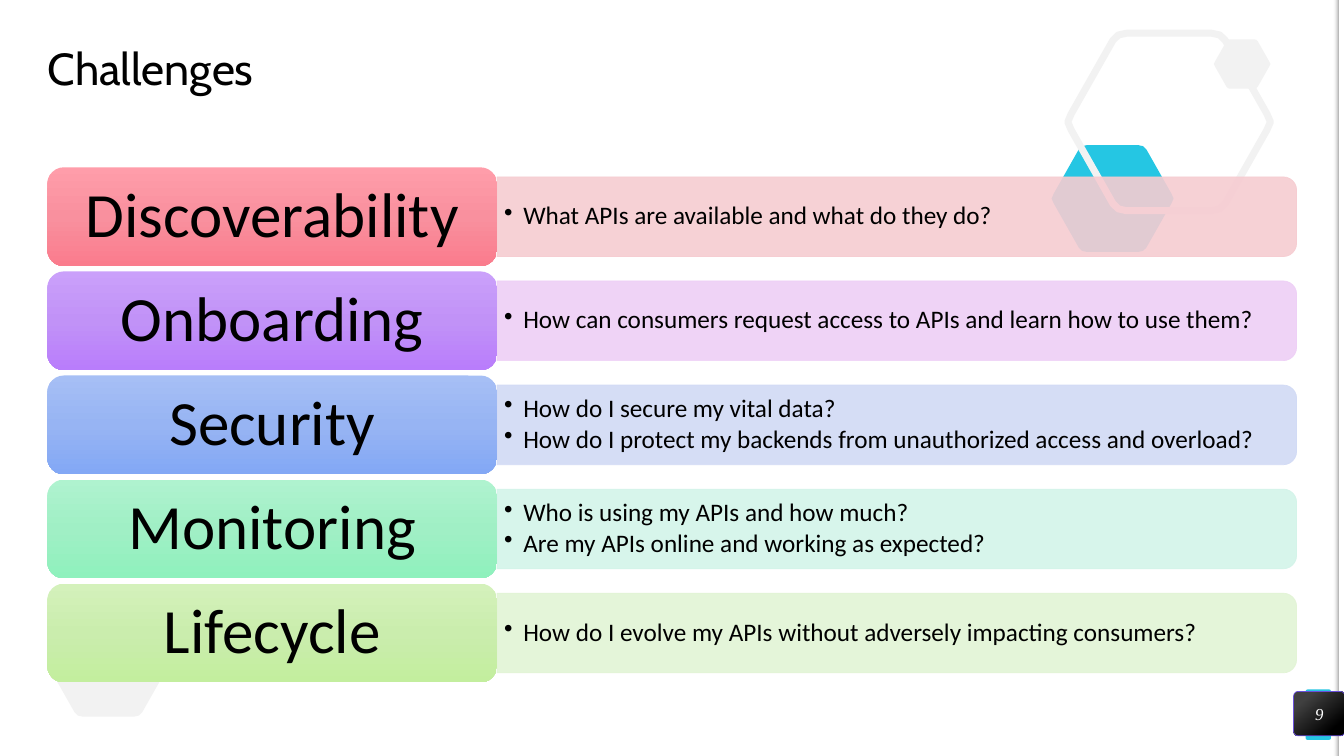
from lxml import etree
from pptx import Presentation
from pptx.dml.color import RGBColor
from pptx.enum.shapes import MSO_SHAPE
from pptx.enum.text import MSO_ANCHOR, MSO_AUTO_SIZE, PP_ALIGN
from pptx.oxml.ns import qn
from pptx.util import Inches, Pt

RECTANGLE = MSO_SHAPE.RECTANGLE
ROUNDED = MSO_SHAPE.ROUNDED_RECTANGLE
ROUNDED_TOP = MSO_SHAPE.ROUND_2_SAME_RECTANGLE
MIDDLE = MSO_ANCHOR.MIDDLE
NO_AUTOFIT = MSO_AUTO_SIZE.NONE
LEFT, CENTER = PP_ALIGN.LEFT, PP_ALIGN.CENTER

COLORS = {
    "white": "FFFFFF", "black": "000000", "cyan": "25C6E3",
    "pale": "F2F2F2", "gray": "A6A6A6", "charcoal": "404040", "violet": "6A50DB",
    "Discoverability": ("F6CCD1", "FF9DAA", "F9909E", "FA7C8D"),
    "Onboarding": ("EECFF6", "CAA0FA", "C192F7", "B97DFC"),
    "Security": ("D1DAF5", "A6BFF5", "97B4F3", "83A8F5"),
    "Monitoring": ("D3F4E9", "AFF3CF", "A0EFC5", "8FF1BD"),
    "Lifecycle": ("E2F4D5", "D4F1BB", "CAEDAD", "C3EE9E"),
}

CHALLENGES = {
    "Discoverability": ["What APIs are available and what do they do?"],
    "Onboarding": ["How can consumers request access to APIs and learn how to use them?"],
    "Security": ["How do I secure my vital data?",
                 "How do I protect my backends from unauthorized access and overload?"],
    "Monitoring": ["Who is using my APIs and how much?",
                   "Are my APIs online and working as expected?"],
    "Lifecycle": ["How do I evolve my APIs without adversely impacting consumers?"],
}


def paint(shape, fill=None, line=None, width=0.5):
    """Set the solid fill and the outline of a shape, and remove its shadow."""
    shape.shadow.inherit = False
    if fill:
        shape.fill.solid()
        shape.fill.fore_color.rgb = RGBColor.from_string(fill)
    else:
        shape.fill.background()
    if line:
        shape.line.color.rgb = RGBColor.from_string(line)
        shape.line.width = Pt(width)
    else:
        shape.line.fill.background()


def set_alpha(color_element, percent):
    """Give a colour element an opacity in percent."""
    etree.SubElement(color_element, qn("a:alpha")).set("val", str(percent * 1000))


def paint_gradient(shape, stops, angle):
    """Fill a shape with (percent, colour, opacity) stops along a clockwise angle."""
    shape.fill.gradient()
    shape.fill.gradient_angle = -angle % 360
    stop_list = shape._element.spPr.find(".//" + qn("a:gsLst"))
    for stop in list(stop_list):
        stop_list.remove(stop)
    for percent, color, opacity in stops:
        stop = etree.SubElement(stop_list, qn("a:gs"))
        stop.set("pos", str(percent * 1000))
        color_element = etree.SubElement(stop, qn("a:srgbClr"))
        color_element.set("val", color)
        if opacity < 100:
            set_alpha(color_element, opacity)


def add_box(slide, kind, left, top, width, height):
    """Add a preset shape measured in inches."""
    return slide.shapes.add_shape(
        kind, Inches(left), Inches(top), Inches(width), Inches(height))


def set_frame(frame, horizontal=0, vertical=0):
    """Set margins, wrapping and the middle anchor of a text frame."""
    frame.margin_left = frame.margin_right = Inches(horizontal)
    frame.margin_top = frame.margin_bottom = Inches(vertical)
    frame.word_wrap = True
    frame.auto_size = NO_AUTOFIT
    frame.vertical_anchor = MIDDLE


def style_paragraph(paragraph, name, size, color, align=LEFT):
    """Set alignment, line spacing and font of a paragraph."""
    paragraph.alignment = align
    paragraph.line_spacing = 0.9
    paragraph.font.name = name
    paragraph.font.size = Pt(size)
    paragraph.font.color.rgb = RGBColor.from_string(color)


def add_hexagon(slide, left, top, width, fill=None, line=None):
    """Draw a hexagon with rounded corners."""
    height = width * 0.876
    quarter = [(0, 0.5), (0.017, 0.455), (0.223, 0.04), (0.25, 0.01), (0.29, 0)]
    upper = quarter + [(1 - x, y) for x, y in reversed(quarter)]
    lower = [(x, 1 - y) for x, y in reversed(upper[1:-1])]
    points = [(Inches(left + x * width), Inches(top + y * height))
              for x, y in upper + lower]
    builder = slide.shapes.build_freeform(*points[0])
    builder.add_line_segments(points[1:], close=True)
    paint(builder.convert_to_shape(), fill, line, 5)


def add_backdrop(slide):
    """Draw the right edge, the page tab and the hexagons."""
    tab = add_box(slide, ROUNDED, 12.95, 6.84, 0.25, 0.5)
    tab.adjustments[0] = 0.07
    paint(tab, COLORS["cyan"])
    paint(add_box(slide, RECTANGLE, 13.28, 0, 0.05, 7.5), COLORS["white"])
    edge = add_box(slide, RECTANGLE, 13.23, 0, 0.05, 7.5)
    paint(edge)
    paint_gradient(edge, [(0, COLORS["pale"], 0), (100, COLORS["gray"], 100)], 0)
    add_hexagon(slide, 0.47, 6.05, 1.21, COLORS["pale"])
    add_hexagon(slide, 10.43, 1.44, 1.21, COLORS["cyan"])
    add_hexagon(slide, 10.59, 0.33, 2.01, line=COLORS["pale"])
    add_hexagon(slide, 12.04, 0.39, 0.56, COLORS["pale"])
    add_hexagon(slide, 1.59, 5.8, 0.56, COLORS["white"])


def add_title(slide, text, left, top, width, height):
    """Place and format the slide title."""
    title = slide.shapes.title
    title.left, title.top = Inches(left), Inches(top)
    title.width, title.height = Inches(width), Inches(height)
    set_frame(title.text_frame)
    title.text_frame.text = text
    style_paragraph(title.text_frame.paragraphs[0], "Cabin", 32, COLORS["black"])


def add_questions(slide, questions, color, left, top, width, height):
    """Draw a translucent panel with bulleted questions."""
    panel = add_box(slide, ROUNDED_TOP, left + (width - height) / 2,
                    top + (height - width) / 2, height, width)
    panel.rotation = 90
    paint(panel, color, color)
    for color_element in panel._element.spPr.iter(qn("a:srgbClr")):
        set_alpha(color_element, 90)
    box = slide.shapes.add_textbox(
        Inches(left), Inches(top + 0.04), Inches(width - 0.04), Inches(height - 0.08))
    frame = box.text_frame
    set_frame(frame, 0.07, 0.04)
    for index, question in enumerate(questions):
        paragraph = frame.add_paragraph() if index else frame.paragraphs[0]
        paragraph.text = question
        properties = paragraph._p.get_or_add_pPr()
        properties.set("marL", str(Inches(0.19)))
        properties.set("indent", str(-Inches(0.19)))
        etree.SubElement(properties, qn("a:buChar")).set("char", "•")
        style_paragraph(paragraph, "Calibri", 18, COLORS["black"])
        paragraph.space_after = Pt(2.5)


def add_challenges(slide, left, top, width, height):
    """Stack one row per challenge, with its label and questions."""
    label_width, label_height, panel_height = 4.46, 0.98, 0.79
    pitch = (height - label_height) / (len(CHALLENGES) - 1)
    for row, (name, questions) in enumerate(CHALLENGES.items()):
        row_top = top + row * pitch
        panel_color, *shades = COLORS[name]
        add_questions(slide, questions, panel_color, left + label_width,
                      row_top + (label_height - panel_height) / 2,
                      width - label_width, panel_height)
        label = add_box(slide, ROUNDED, left, row_top, label_width, label_height)
        paint(label)
        paint_gradient(label, [(50 * i, shade, 100) for i, shade in enumerate(shades)], 90)
        set_frame(label.text_frame, 0.24, 0.14)
        label.text_frame.text = name
        style_paragraph(label.text_frame.paragraphs[0], "Calibri", 45,
                        COLORS["black"], CENTER)


def add_page_number(slide, number, left, top, width, height):
    """Draw the dark badge with the page number."""
    badge = add_box(slide, ROUNDED, left, top, width, height)
    badge.adjustments[0] = 0.1
    paint(badge, line=COLORS["violet"])
    paint_gradient(badge, [(20, COLORS["charcoal"], 100), (82, COLORS["black"], 100)], 50)
    set_frame(badge.text_frame)
    badge.text_frame.text = number
    paragraph = badge.text_frame.paragraphs[0]
    style_paragraph(paragraph, "Times New Roman", 12, COLORS["white"], CENTER)
    paragraph.line_spacing = 1.0
    paragraph.font.italic = True


def main():
    """Build the challenges slide and save it."""
    presentation = Presentation()
    presentation.slide_width, presentation.slide_height = Inches(13.33), Inches(7.5)
    slide = presentation.slides.add_slide(presentation.slide_layouts[5])
    add_backdrop(slide)
    add_title(slide, "Challenges", 0.47, 0.47, 12.39, 0.47)
    add_challenges(slide, 0.47, 1.66, 12.39, 5.11)
    add_page_number(slide, "9", 12.83, 6.86, 0.51, 0.44)
    presentation.save("out.pptx")


if __name__ == "__main__":
    main()
